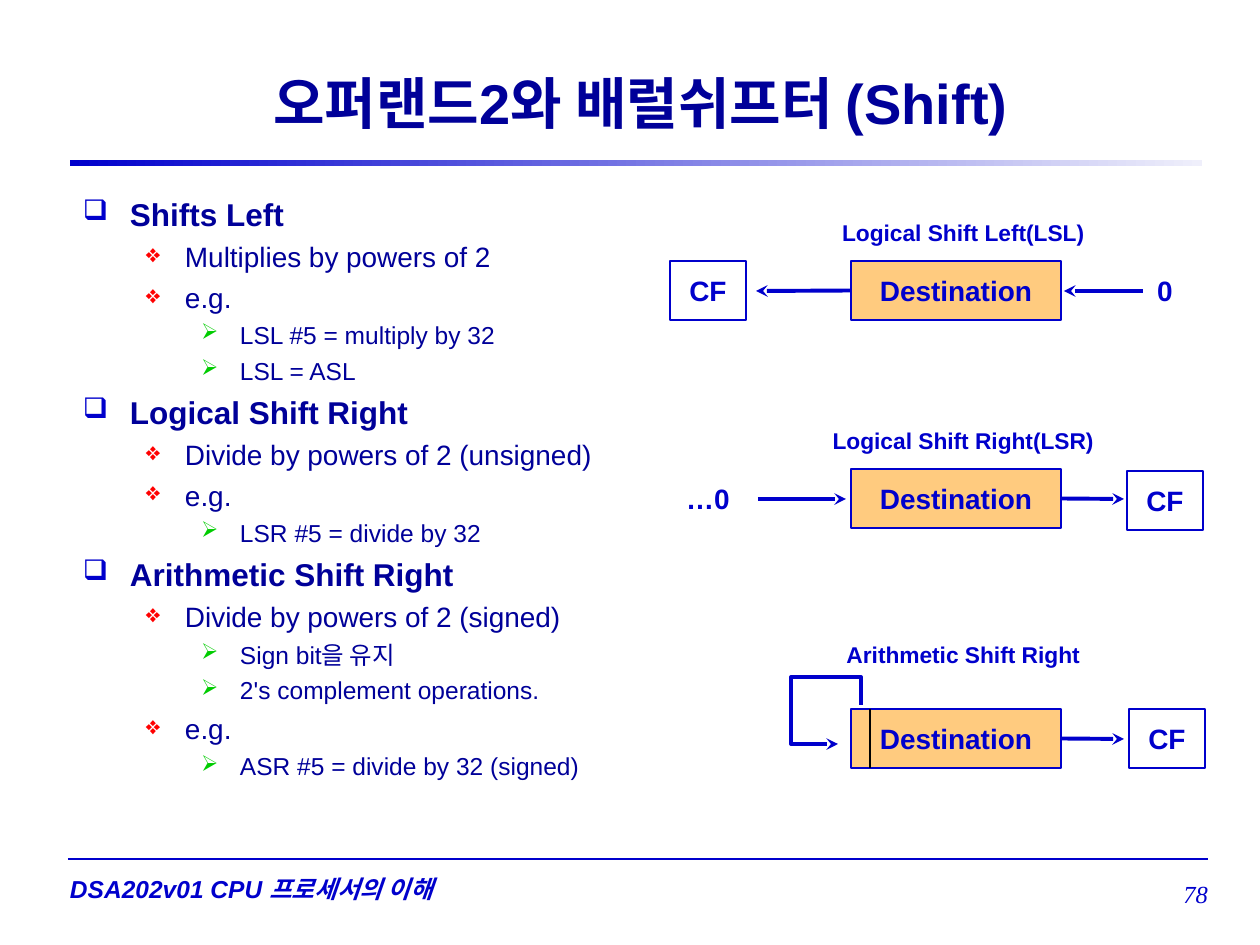
from collections import namedtuple
from dataclasses import dataclass

from pptx import Presentation
from pptx.dml.color import RGBColor
from pptx.enum.shapes import MSO_CONNECTOR, MSO_SHAPE
from pptx.enum.text import MSO_ANCHOR, MSO_AUTO_SIZE, PP_ALIGN
from pptx.oxml.ns import qn
from pptx.oxml.xmlchemy import OxmlElement
from pptx.util import Pt

EMU_PER_PX = 914400 / 126
TOP, LEFT, BOTTOM, RIGHT = range(4)
Box = namedtuple("Box", "left top width height")
Level = namedtuple("Level", "mark color indent hanging size before bold")


@dataclass(frozen=True)
class Theme:
    font: str = "Arial"
    number_font: str = "Times New Roman"
    navy: str = "000099"
    blue: str = "0000CC"
    pale: str = "EFEFFB"
    orange: str = "FF9900"
    black: str = "000000"
    title_size: int = 32
    box_size: int = 16
    caption_size: int = 13
    footer_size: int = 14
    thin: float = 0.75
    outline: float = 1
    arrow: float = 2.25
    levels: tuple = (
        Level("❑", "0000CC", 47, 47, 18, 4.5, True),
        Level("❖", "FF0000", 102, 39, 16, 4, False),
        Level("➢", "00CC00", 157, 39, 14, 3.5, False),
    )


THEME = Theme()

OUTLINE = [
    (0, "Shifts Left"),
    (1, "Multiplies by powers of 2"),
    (1, "e.g."),
    (2, "LSL #5 = multiply by 32"),
    (2, "LSL = ASL"),
    (0, "Logical Shift Right"),
    (1, "Divide by powers of 2 (unsigned)"),
    (1, "e.g."),
    (2, "LSR #5 = divide by 32"),
    (0, "Arithmetic Shift Right"),
    (1, "Divide by powers of 2 (signed)"),
    (2, "Sign bit을 유지"),
    (2, "2's complement operations."),
    (1, "e.g."),
    (2, "ASR #5 = divide by 32 (signed)"),
]


def px(length):
    return round(length * EMU_PER_PX)


def emu(box):
    return [px(side) for side in box]


def inside(box, left, top, width, height):
    return Box(box.left + left, box.top + top, width, height)


def rgb(color):
    return RGBColor.from_string(color)


def add_run(paragraph, text, size, color, bold=False, italic=False, font=THEME.font):
    run = paragraph.add_run()
    run.text = text
    run.font.name, run.font.size = font, Pt(size)
    run.font.bold, run.font.italic = bold, italic
    run.font.color.rgb = rgb(color)


def prepare_frame(shape, margin, anchor):
    frame = shape.text_frame
    frame.word_wrap = True
    frame.auto_size = MSO_AUTO_SIZE.NONE
    frame.margin_left = frame.margin_right = px(margin)
    frame.margin_top = frame.margin_bottom = px(6)
    frame.vertical_anchor = anchor
    return frame


def write_line(shape, text, size, color=THEME.blue, align=PP_ALIGN.CENTER, margin=2, **style):
    paragraph = prepare_frame(shape, margin, MSO_ANCHOR.MIDDLE).paragraphs[0]
    paragraph.alignment = align
    add_run(paragraph, text, size, color, **style)


def add_label(slide, box, text, size, **style):
    write_line(slide.shapes.add_textbox(*emu(box)), text, size, **style)


def add_register(slide, box, text, fill=None):
    """Add an outlined box with bold text, filled half transparent if a fill is given."""
    register = slide.shapes.add_shape(MSO_SHAPE.RECTANGLE, *emu(box))
    register.shadow.inherit = False
    if fill:
        register.fill.solid()
        register.fill.fore_color.rgb = rgb(fill)
        alpha = OxmlElement("a:alpha")
        alpha.set("val", "50000")
        register.element.spPr.find(qn("a:solidFill"))[0].append(alpha)
    else:
        register.fill.background()
    set_line(register, THEME.blue, THEME.outline)
    write_line(register, text, THEME.box_size, bold=True)
    return register


def set_line(shape, color, width, arrow=False):
    shape.line.color.rgb = rgb(color)
    shape.line.width = Pt(width)
    if arrow:
        tail = OxmlElement("a:tailEnd")
        tail.set("type", "stealth")
        shape.element.spPr.find(qn("a:ln")).append(tail)


def add_line(slide, start, end, color=THEME.blue, width=THEME.arrow, arrow=True, source=None):
    """Add a straight line; source is an optional (shape, side) that it starts from."""
    line = slide.shapes.add_connector(MSO_CONNECTOR.STRAIGHT, *emu(start + end))
    if source:
        line.begin_connect(*source)
    set_line(line, color, width, arrow)
    line.element.spPr.append(OxmlElement("a:effectLst"))


def add_operation(slide, box, caption, drop):
    """Add the caption and, drop px below its top, the destination register."""
    add_label(slide, inside(box, 140, 0, 306, 59), caption, THEME.caption_size, bold=True)
    return add_register(slide, inside(box, 181, drop, 210, 59), "Destination", THEME.orange)


def add_shift_left(slide, box):
    destination = add_operation(slide, box, "Logical Shift Left(LSL)", 58)
    add_register(slide, inside(box, 0, 58, 76, 59), "CF")
    add_label(slide, inside(box, 457, 58, 76, 59), "0", THEME.box_size, bold=True)
    x, y = box.left, box.top + 88
    add_line(slide, (x + 181, y), (x + 86, y), source=(destination, LEFT))
    add_line(slide, (x + 473, y), (x + 394, y))


def add_shift_right(slide, box):
    destination = add_operation(slide, box, "Logical Shift Right(LSR)", 58)
    add_register(slide, inside(box, 457, 60, 76, 59), "CF")
    add_label(slide, inside(box, 0, 58, 76, 59), "…0", THEME.box_size, bold=True)
    x, y = box.left, box.top + 88
    add_line(slide, (x + 88, y), (x + 176, y))
    add_line(slide, (x + 391, y), (x + 454, y), source=(destination, RIGHT))


def add_arithmetic_shift(slide, box):
    destination = add_operation(slide, box, "Arithmetic Shift Right", 84)
    add_register(slide, inside(box, 459, 84, 76, 59), "CF")
    x, y = box.left, box.top
    add_line(slide, (x + 391, y + 114), (x + 454, y + 114), source=(destination, RIGHT))
    add_line(slide, (x + 200, y + 84), (x + 200, y + 143), THEME.black, THEME.outline, arrow=False)
    loop = slide.shapes.build_freeform(x + 191, y + 80, EMU_PER_PX)
    corners = [(191, 52), (121, 52), (121, 119), (168, 119)]
    loop.add_line_segments([(x + dx, y + dy) for dx, dy in corners], close=False)
    sign_loop = loop.convert_to_shape()
    sign_loop.shadow.inherit = False
    sign_loop.fill.background()
    set_line(sign_loop, THEME.blue, THEME.arrow, arrow=True)


def add_bullet(paragraph, level):
    properties = paragraph._p.get_or_add_pPr()
    properties.set("marL", str(px(level.indent)))
    properties.set("indent", str(-px(level.hanging)))
    color = OxmlElement("a:buClr")
    value = OxmlElement("a:srgbClr")
    value.set("val", level.color)
    color.append(value)
    size = OxmlElement("a:buSzPct")
    size.set("val", "90000")
    mark = OxmlElement("a:buChar")
    mark.set("char", level.mark)
    properties.extend([color, size, mark])


def add_outline(slide, box):
    frame = prepare_frame(slide.shapes.add_textbox(*emu(box)), 13, MSO_ANCHOR.TOP)
    for index, (depth, text) in enumerate(OUTLINE):
        paragraph = frame.add_paragraph() if index else frame.paragraphs[0]
        level = THEME.levels[depth]
        paragraph.level = depth
        add_bullet(paragraph, level)
        paragraph.line_spacing = 1.0
        if index:
            paragraph.space_before = Pt(level.before)
        add_run(paragraph, text, level.size, THEME.navy, level.bold)


def add_heading(slide, box):
    title = slide.shapes.title
    title.left, title.top, title.width, title.height = emu(inside(box, 40, 0, 1061, 126))
    write_line(title, "오퍼랜드2와 배럴쉬프터 (Shift)", THEME.title_size, THEME.navy, margin=13, bold=True)
    rule = slide.shapes.add_shape(MSO_SHAPE.RECTANGLE, *emu(inside(box, 0, 121, 1132, 6)))
    rule.shadow.inherit = False
    rule.line.fill.background()
    rule.fill.gradient()
    rule.fill.gradient_angle = 0
    for stop, color in zip(rule.fill.gradient_stops, (THEME.blue, THEME.pale)):
        stop.color.rgb = rgb(color)


def add_footer(slide, box):
    start, end = (box.left, box.top), (box.left + box.width, box.top)
    add_line(slide, start, end, width=THEME.thin, arrow=False)
    add_label(slide, inside(box, 0, 8, 488, 43), "DSA202v01 CPU 프로세서의 이해",
              THEME.footer_size, align=PP_ALIGN.LEFT, bold=True, italic=True)
    add_label(slide, inside(box, 1024, 3, 116, 63), "78", THEME.footer_size,
              align=PP_ALIGN.RIGHT, margin=0, italic=True, font=THEME.number_font)


def main():
    deck = Presentation()
    deck.slide_width, deck.slide_height = px(1260), px(945)
    slide = deck.slides.add_slide(deck.slide_layouts[5])
    add_heading(slide, Box(70, 39, 1132, 127))
    add_outline(slide, Box(70, 189, 586, 644))
    add_shift_left(slide, Box(670, 203, 535, 117))
    add_shift_right(slide, Box(670, 411, 535, 119))
    add_arithmetic_shift(slide, Box(670, 625, 535, 143))
    add_footer(slide, Box(68, 859, 1140, 66))
    deck.save("out.pptx")


if __name__ == "__main__":
    main()
